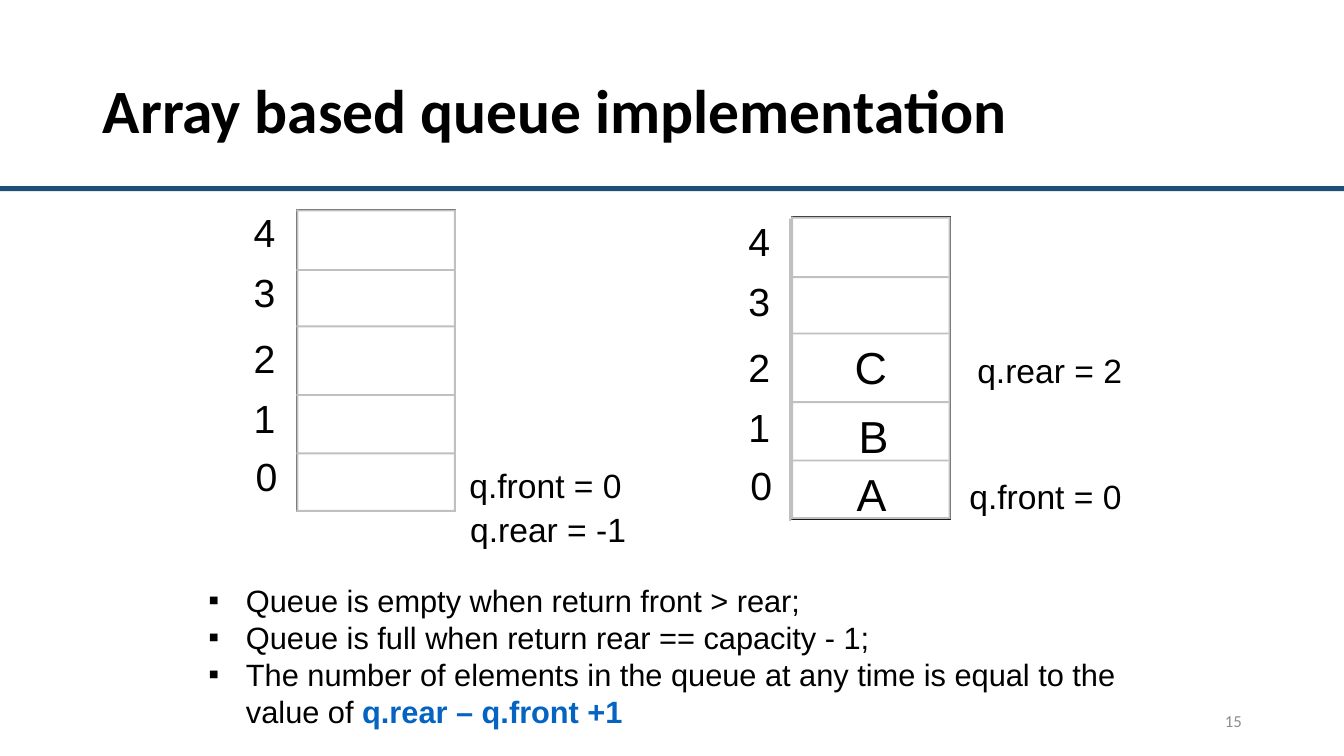
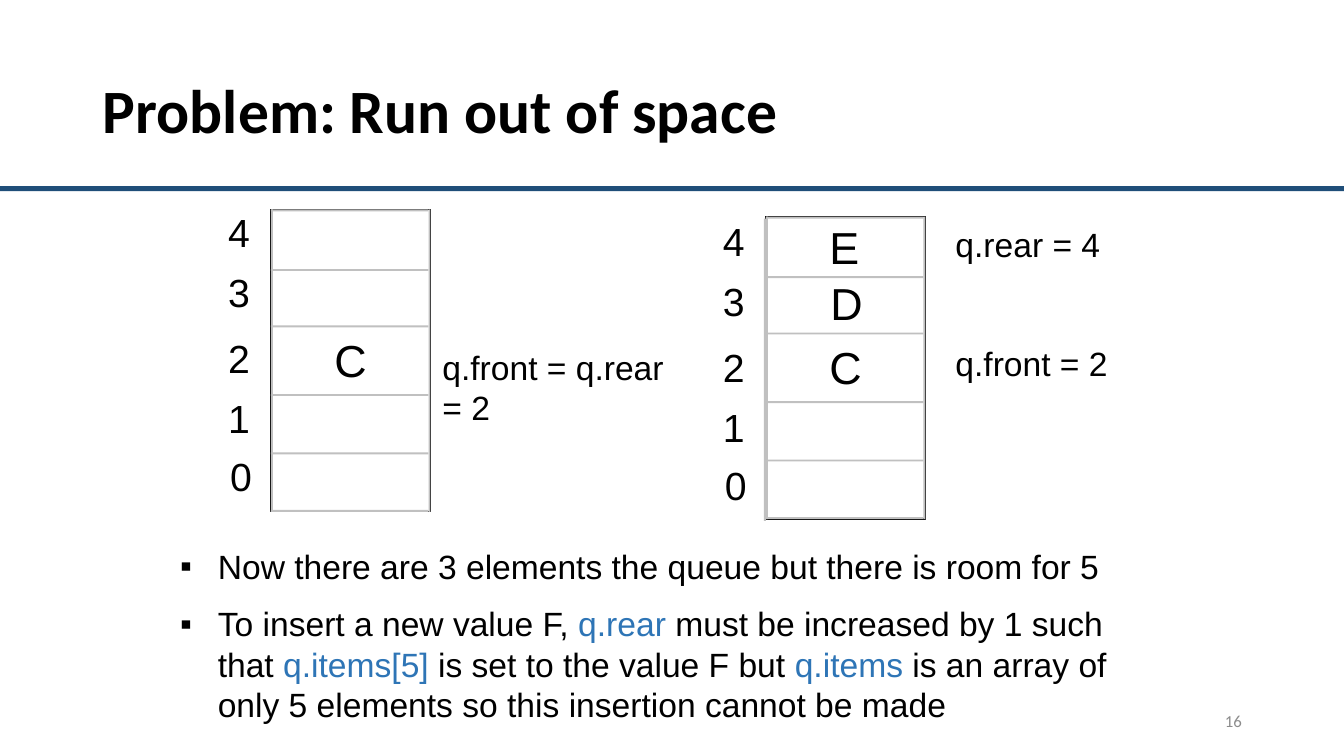
import pptx
import pptx.dml.color
import pptx.enum.shapes
import pptx.enum.text
import pptx.util
from lxml import etree

Cm = pptx.util.Cm
Pt = pptx.util.Pt
RGB = pptx.dml.color.RGBColor
ALIGN = pptx.enum.text.PP_ALIGN
ANCHOR = pptx.enum.text.MSO_ANCHOR

BLACK = RGB(0, 0, 0)
NAVY = RGB(0x1F, 0x4E, 0x79)
GREY = RGB(0xC0, 0xC0, 0xC0)
DIM = RGB(0x8C, 0x8C, 0x8C)
LINK = RGB(0x05, 0x63, 0xC1)
BLUE = RGB(0x2E, 0x75, 0xB6)

WIDTH, HEIGHT = 33.87, 19.05
CELL_W, STACK_H, BAR = 3.97, 7.62, 0.05
RULES = [0, 1.5, 2.92, 4.65, 6.12, 7.57]
INDEX_Y = {"4": -0.03, "3": 1.47, "2": 3.15, "1": 4.65, "0": 6.12}
SPOTS = {"E": (1.6, 0.08), "D": (1.63, 1.5), "C": (1.6, 3.1),
         "B": (1.7, 4.85), "A": (1.65, 6.3)}
INDENT = 0.95


def style(run, size, color=BLACK, bold=False, font="Arial"):
    run.font.name = font
    run.font.size = Pt(size)
    run.font.bold = bold
    run.font.color.rgb = color


def add_rect(slide, x, y, w, h, fill=None):
    """Add a filled bar, or a thin black frame when no fill is given."""
    kind = pptx.enum.shapes.MSO_SHAPE.RECTANGLE
    rect = slide.shapes.add_shape(kind, Cm(x), Cm(y), Cm(w), Cm(h))
    rect.shadow.inherit = False
    if fill is None:
        rect.fill.background()
        rect.line.color.rgb = BLACK
        rect.line.width = Pt(0.75)
    else:
        rect.fill.solid()
        rect.fill.fore_color.rgb = fill
        rect.line.fill.background()


def add_box(slide, x, y, w, h):
    box = slide.shapes.add_textbox(Cm(x), Cm(y), Cm(w), Cm(h))
    box.text_frame.word_wrap = True
    return box.text_frame


def add_label(slide, text, x, y, w=4.6, h=1.27, size=24):
    frame = add_box(slide, x, y, w, h)
    frame.text = text
    style(frame.paragraphs[0].runs[0], size)
    return frame


def add_glyph(slide, text, x, y, size):
    """Add one character in a box without margins."""
    frame = add_label(slide, text, x, y, size * 0.03, size * 0.04, size)
    frame.margin_left = frame.margin_right = 0
    frame.margin_top = frame.margin_bottom = 0


def add_stack(slide, x, y, items="", double=False):
    """Draw a five-cell array; double thickens its left edge."""
    add_rect(slide, x, y, CELL_W + BAR, STACK_H)
    for rule in RULES:
        add_rect(slide, x, y + rule, CELL_W, BAR, GREY)
    for edge in (x, x + CELL_W):
        add_rect(slide, edge, y, BAR, STACK_H, GREY)
    drop = 0
    if double:
        drop = BAR
        add_rect(slide, x - BAR, y + drop, BAR, STACK_H, GREY)
    for digit, down in INDEX_Y.items():
        nudge = BAR if digit == "0" else 0
        add_glyph(slide, digit, x - 1.08 + nudge, y + down + drop, 28)
    for item in items:
        right, down = SPOTS[item]
        add_glyph(slide, item, x + right, y + down, 32)


def add_bullet(para):
    props = para._p.get_or_add_pPr()
    props.set("marL", str(Cm(INDENT)))
    props.set("indent", str(-Cm(INDENT)))
    for tag, key, value in (("buFont", "typeface", "Arial"),
                            ("buChar", "char", "▪")):
        name = pptx.oxml.ns.qn("a:" + tag)
        etree.SubElement(props, name).set(key, value)


def add_list(slide, points, x, y, w, h, size, gap=0, bold=False):
    """Add bullets; each point is a list of (text, colour) parts."""
    frame = add_box(slide, x, y, w, h)
    for i, parts in enumerate(points):
        para = frame.add_paragraph() if i else frame.paragraphs[0]
        if i and gap:
            para.space_before = Pt(gap)
        add_bullet(para)
        for text, color in parts:
            run = para.add_run()
            run.text = text
            style(run, size, color, bold and color != BLACK)


def add_slide(deck, title, number):
    """Add a slide with its title, band and page number."""
    slide = deck.slides.add_slide(deck.slide_layouts[5])
    head = slide.shapes.title
    head.left, head.top = Cm(2.34), Cm(1.02)
    head.width, head.height = Cm(29.21), Cm(3.68)
    frame = head.text_frame
    frame.text = title
    frame.word_wrap = True
    frame.auto_size = pptx.enum.text.MSO_AUTO_SIZE.NONE
    frame.vertical_anchor = ANCHOR.MIDDLE
    para = frame.paragraphs[0]
    para.alignment = ALIGN.LEFT
    para.line_spacing = 0.9
    style(para.runs[0], 44, bold=True, font="Calibri")
    add_rect(slide, 0, 4.69, WIDTH, 0.13, NAVY)
    page = add_label(slide, str(number), 23.93, 17.65, 7.62, 1.02)
    page.vertical_anchor = ANCHOR.MIDDLE
    page.paragraphs[0].alignment = ALIGN.RIGHT
    style(page.paragraphs[0].runs[0], 12, DIM, font="Calibri")
    return slide


def add_basics(deck):
    slide = add_slide(deck, "Array based queue implementation", 15)
    add_stack(slide, 7.47, 5.28)
    add_stack(slide, 19.94, 5.46, "CBA", double=True)
    add_label(slide, "q.front = 0", 11.58, 11.58)
    add_label(slide, "q.rear = -1", 11.6, 12.7, 5)
    add_label(slide, "q.front = 0", 24.18, 11.86)
    add_label(slide, "q.rear = 2", 24.38, 8.69)
    add_list(slide, [
        [("Queue is empty when return front > rear;", BLACK)],
        [("Queue is full when return rear == capacity - 1;", BLACK)],
        [("The number of elements in the queue at any time is equal "
          "to the value of ", BLACK), ("q.rear – q.front +1", LINK)],
    ], 5, 14.53, 23.9, 4.01, 22, bold=True)


def add_problem(deck):
    slide = add_slide(deck, "Problem: Run out of space", 16)
    add_stack(slide, 6.83, 5.28, "C")
    add_stack(slide, 19.3, 5.46, "EDC", double=True)
    add_label(slide, "q.front = q.rear = 2", 10.9, 8.61, 6.38, 2.31)
    add_label(slide, "q.front = 2", 23.83, 8.51)
    add_label(slide, "q.rear = 4", 23.83, 5.51)
    add_list(slide, [
        [("Now there are 3 elements the queue but there is room for 5",
          BLACK)],
        [("To insert a new value F, ", BLACK), ("q.rear ", BLUE),
         ("must be increased by 1 such that ", BLACK),
         ("q.items[5] ", BLUE),
         ("is set to the value F but ", BLACK), ("q.items", BLUE),
         (" is an array of only 5 elements so this insertion cannot "
          "be made", BLACK)],
    ], 4.29, 13.64, 24.21, 4.88, 24, gap=12)


def main():
    deck = pptx.Presentation()
    deck.slide_width, deck.slide_height = Cm(WIDTH), Cm(HEIGHT)
    add_basics(deck)
    add_problem(deck)
    deck.save("out.pptx")


if __name__ == "__main__":
    main()
